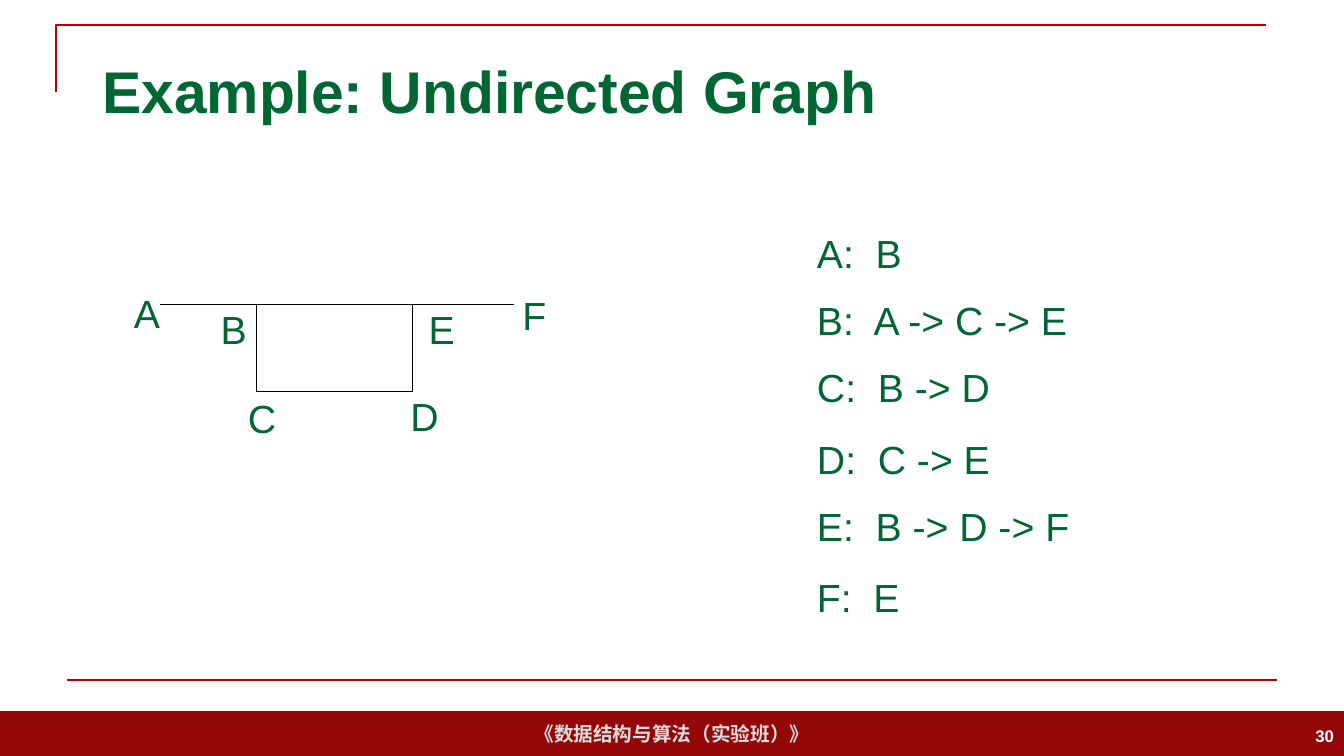
"""Build the slide showing an undirected graph with its adjacency lists."""
from lxml.etree import SubElement
from pptx import Presentation
from pptx.dml.color import RGBColor
from pptx.enum.shapes import MSO_CONNECTOR as Connector, MSO_SHAPE as Preset
from pptx.enum.text import MSO_ANCHOR as Anchor, PP_ALIGN as Align
from pptx.oxml.ns import qn
from pptx.util import Pt

COLORS = {"green": "006633", "band": "940709", "rule": "C00000",
          "edge": "000000", "footer": "DDDDDD", "white": "FFFFFF"}
NODES = {"A": (88.5, 203), "B": (150.5, 214.5), "C": (170, 278),
         "D": (286, 276.5), "E": (299, 214.5), "F": (366, 204.5)}
ADJACENCY = {"A:  B": 160, "B:  A -> C -> E": 208, "C:  B -> D": 256,
             "D:  C -> E": 307.5, "E:  B -> D -> F": 355.5, "F:  E": 406}


def color(name):
    return RGBColor.from_string(COLORS[name])


def write(frame, text, size, ink, bold=False, align=Align.LEFT, anchor=Anchor.MIDDLE):
    frame.word_wrap = True
    frame.vertical_anchor = anchor
    frame.text = text
    paragraph = frame.paragraphs[0]
    paragraph.alignment = align
    font = paragraph.runs[0].font
    font.name, font.size, font.bold = "Arial", Pt(size), bold
    font.color.rgb = color(ink)
    return paragraph


def add_label(slide, text, left, top, width, height, size, ink, **style):
    label = slide.shapes.add_textbox(Pt(left), Pt(top), Pt(width), Pt(height))
    return write(label.text_frame, text, size, ink, **style)


def add_graph_text(slide, text, left, top, width):
    entry = add_label(slide, text, left, top, width, 41, 28, "green", anchor=Anchor.TOP)
    entry.space_before = Pt(2.8)


def add_line(slide, start, end, ink, weight):
    line = slide.shapes.add_connector(
        Connector.STRAIGHT, *(Pt(value) for value in (*start, *end)))
    line.line.color.rgb = color(ink)
    line.line.width = Pt(weight)
    SubElement(line._element.spPr, qn("a:effectLst"))


def add_rectangle(slide, left, top, width, height, fill=None, edge=None):
    box = slide.shapes.add_shape(
        Preset.RECTANGLE, Pt(left), Pt(top), Pt(width), Pt(height))
    box.shadow.inherit = False
    if fill:
        box.fill.solid()
        box.fill.fore_color.rgb = color(fill)
    else:
        box.fill.background()
    if edge:
        box.line.color.rgb = color(edge)
        box.line.width = Pt(0.75)
    else:
        box.line.fill.background()
    return box


def add_corner(slide):
    builder = slide.shapes.build_freeform(Pt(40), Pt(66), scale=1.0)
    builder.add_line_segments([(Pt(40), Pt(18)), (Pt(904), Pt(18))], close=False)
    corner = builder.convert_to_shape()
    corner.shadow.inherit = False
    corner.fill.background()
    corner.line.color.rgb = color("rule")
    corner.line.width = Pt(1.5)


def add_frame(slide):
    band = add_rectangle(slide, 0, 508, 960, 32, fill="band")
    write(band.text_frame, "《数据结构与算法（实验班）》", 14, "footer",
          bold=True, align=Align.CENTER)
    add_corner(slide)
    add_line(slide, (48, 486), (912, 486), "rule", 1.5)
    add_label(slide, "Example: Undirected Graph", 66, 29, 828, 71, 42, "green", bold=True)
    add_label(slide, "30", 744, 511.5, 216, 28.5, 12, "white",
              bold=True, align=Align.RIGHT)


def add_graph(slide):
    left, top, width, height = 183, 217.5, 112, 62
    right = left + width
    add_rectangle(slide, left, top, width, height, edge="edge")
    add_line(slide, (114.5, top), (left, top), "edge", 0.75)
    add_line(slide, (right, top), (367, top), "edge", 0.75)
    for node, (x, y) in NODES.items():
        add_graph_text(slide, node, x, y, 26)


def main():
    deck = Presentation()
    deck.slide_width, deck.slide_height = Pt(960), Pt(540)
    slide = deck.slides.add_slide(deck.slide_layouts[6])
    add_frame(slide)
    add_graph(slide)
    for neighbours, top in ADJACENCY.items():
        add_graph_text(slide, neighbours, 576.5, top, 354)
    deck.save("out.pptx")


if __name__ == "__main__":
    main()
